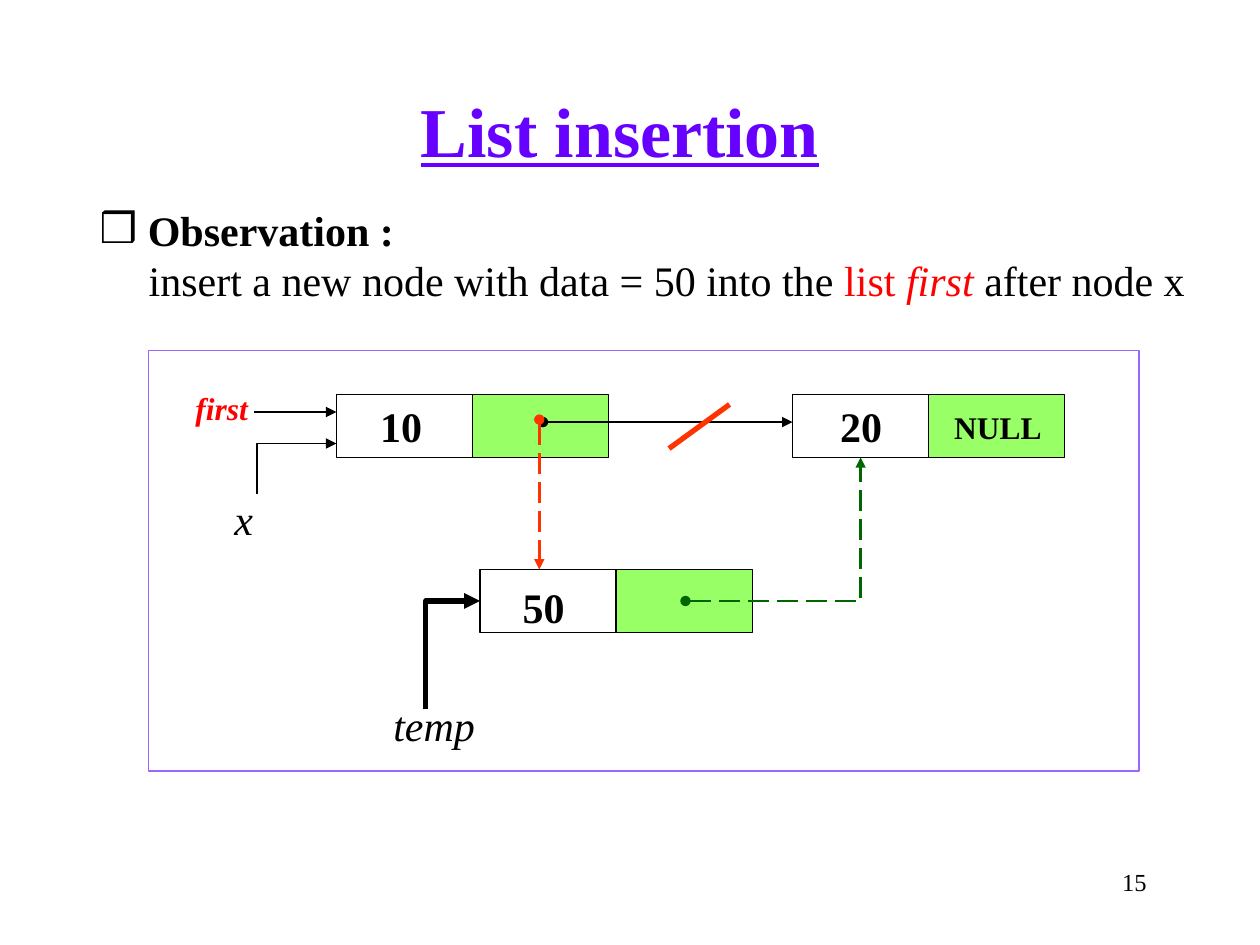
from typing import NamedTuple, Optional

from pptx import Presentation
from pptx.dml.color import RGBColor
from pptx.enum.dml import MSO_LINE_DASH_STYLE as Dash
from pptx.enum.shapes import MSO_CONNECTOR as Connector, MSO_SHAPE as Shape
from pptx.enum.text import MSO_ANCHOR as Anchor, MSO_AUTO_SIZE as AutoSize, PP_ALIGN as Align
from pptx.oxml.ns import qn
from pptx.util import Emu, Pt
from lxml.etree import SubElement

PX = 9144  # EMU in one px, 100 px to the inch
FONT = "Times New Roman"
BLACK, RED, ORANGE, GREEN = "000000", "FF0000", "FF3300", "006600"
VIOLET, FRAME, LIME = "6600FF", "9966FF", "99FF66"
CELL_WIDTH, CELL_HEIGHT = 108, 50


class Node(NamedTuple):
    left: int
    top: int


class Label(NamedTuple):
    text: str
    box: tuple
    style: dict
    align: Align = Align.CENTER
    wrap: bool = False


class Path(NamedTuple):
    points: list
    color: str = BLACK
    width: float = 0.75
    dash: Optional[Dash] = None
    head: Optional[str] = None
    tail: Optional[str] = "triangle"


def px(value: int) -> Emu:
    return Emu(value * PX)


def rgb(color: str) -> RGBColor:
    return RGBColor.from_string(color)


def place(shape, box: tuple) -> None:
    for name, value in zip(("left", "top", "width", "height"), box):
        setattr(shape, name, px(value))


def set_frame(frame, anchor: Anchor = Anchor.TOP, wrap: bool = True) -> None:
    settings = {"auto_size": AutoSize.NONE, "word_wrap": wrap, "vertical_anchor": anchor}
    for name, value in settings.items():
        setattr(frame, name, value)


def add_span(para, text: str, size: int, color: str = BLACK, **style) -> None:
    span = para.add_run()
    span.text = text
    span.font.color.rgb = rgb(color)
    for name, value in {"name": FONT, "size": Pt(size), **style}.items():
        setattr(span.font, name, value)


def set_indent(para, margin: int, indent: int, bullet: Optional[str] = None) -> None:
    props = para._p.get_or_add_pPr()
    props.set("marL", str(px(margin)))
    props.set("indent", str(px(indent)))
    para.space_before = Pt(0)
    if bullet:
        SubElement(props, qn("a:buChar")).set("char", bullet)
    else:
        SubElement(props, qn("a:buNone"))


def add_label(page, label: Label) -> None:
    box = page.shapes.add_textbox(*map(px, label.box))
    set_frame(box.text_frame, wrap=label.wrap)
    para = box.text_frame.paragraphs[0]
    para.alignment = label.align
    add_span(para, label.text, **label.style)


def add_rect(page, box: tuple, line: str, fill: Optional[str] = None) -> None:
    rect = page.shapes.add_shape(Shape.RECTANGLE, *map(px, box))
    rect.shadow.inherit = False
    if fill:
        rect.fill.solid()
        rect.fill.fore_color.rgb = rgb(fill)
    else:
        rect.fill.background()
    rect.line.color.rgb = rgb(line)
    rect.line.width = Pt(0.75)


def add_node(page, node: Node) -> None:
    for column, fill in enumerate((None, LIME)):
        left = node.left + column * CELL_WIDTH
        add_rect(page, (left, node.top, CELL_WIDTH, CELL_HEIGHT), BLACK, fill)


def add_path(page, path: Path) -> None:
    start, *rest = path.points
    if len(rest) == 1:
        shape = page.shapes.add_connector(Connector.STRAIGHT, *map(px, start + rest[0]))
    else:
        builder = page.shapes.build_freeform(*start, scale=PX)
        builder.add_line_segments(rest, close=False)
        shape = builder.convert_to_shape()
        shape.fill.background()
    line = shape.line
    line.color.rgb = rgb(path.color)
    line.width = Pt(path.width)
    if path.dash:
        line.dash_style = path.dash
    for tag, kind in (("a:headEnd", path.head), ("a:tailEnd", path.tail)):
        if kind:
            SubElement(line._get_or_add_ln(), qn(tag)).set("type", kind)
    SubElement(shape._element.spPr, qn("a:effectLst"))


NODES = [Node(267, 313), Node(381, 452), Node(629, 313)]

BOLD = {"size": 24, "bold": True}
ITALIC = {"size": 24, "italic": True}
LABELS = [
    Label("10", (292, 313, 53, 50), BOLD),
    Label("20", (657, 313, 53, 50), BOLD),
    Label("50", (405, 457, 53, 50), BOLD),
    Label("NULL", (747, 319, 90, 40), {"size": 18, "bold": True}),
    Label("x", (176, 387, 35, 50), ITALIC),
    Label("temp", (302, 550, 85, 50), ITALIC),
    Label("first", (145, 304, 62, 40),
          {"size": 18, "color": RED, "bold": True, "italic": True}),
    Label("15", (712, 683, 208, 50), {"size": 14}, Align.RIGHT, True),
]

PATHS = [
    # Old link and the stroke that cancels it
    Path([(431, 335), (629, 335)], width=1.5, head="oval"),
    Path([(531, 356), (579, 321)], ORANGE, 3, tail=None),
    # New links
    Path([(544, 477), (683, 477), (683, 363)], GREEN, 1.5, Dash.LONG_DASH, "oval"),
    Path([(428, 333), (428, 452)], ORANGE, 1.5, Dash.LONG_DASH, "oval"),
    # Pointers temp, first and x
    Path([(338, 563), (338, 477), (381, 477)], width=3),
    Path([(202, 327), (267, 327)]),
    Path([(204, 392), (204, 352), (267, 352)]),
]


def main() -> None:
    deck = Presentation()
    deck.slide_width, deck.slide_height = px(1000), px(750)
    page = deck.slides.add_slide(deck.slide_layouts[1])

    # Title
    title = page.shapes.title
    place(title, (65, 64, 854, 77))
    set_frame(title.text_frame, Anchor.MIDDLE)
    para = title.text_frame.paragraphs[0]
    para.alignment = Align.CENTER
    add_span(para, "List insertion", 40, VIOLET, bold=True, underline=True)

    # Observation
    body = page.placeholders[1]
    place(body, (69, 157, 890, 91))
    set_frame(body.text_frame)
    para = body.text_frame.paragraphs[0]
    set_indent(para, 30, -30, "❒")
    add_span(para, " Observation :", 24, bold=True)
    para = body.text_frame.add_paragraph()
    set_indent(para, 39, 0)
    add_span(para, "insert a new node with data = 50 into the ", 24)
    add_span(para, "list ", 24, RED)
    add_span(para, "first ", 24, RED, italic=True)
    add_span(para, "after node x", 24)

    # Diagram
    for node in NODES:
        add_node(page, node)
    for path in PATHS:
        add_path(page, path)
    for label in LABELS:
        add_label(page, label)
    add_rect(page, (118, 278, 786, 334), FRAME)

    deck.save("out.pptx")


if __name__ == "__main__":
    main()
